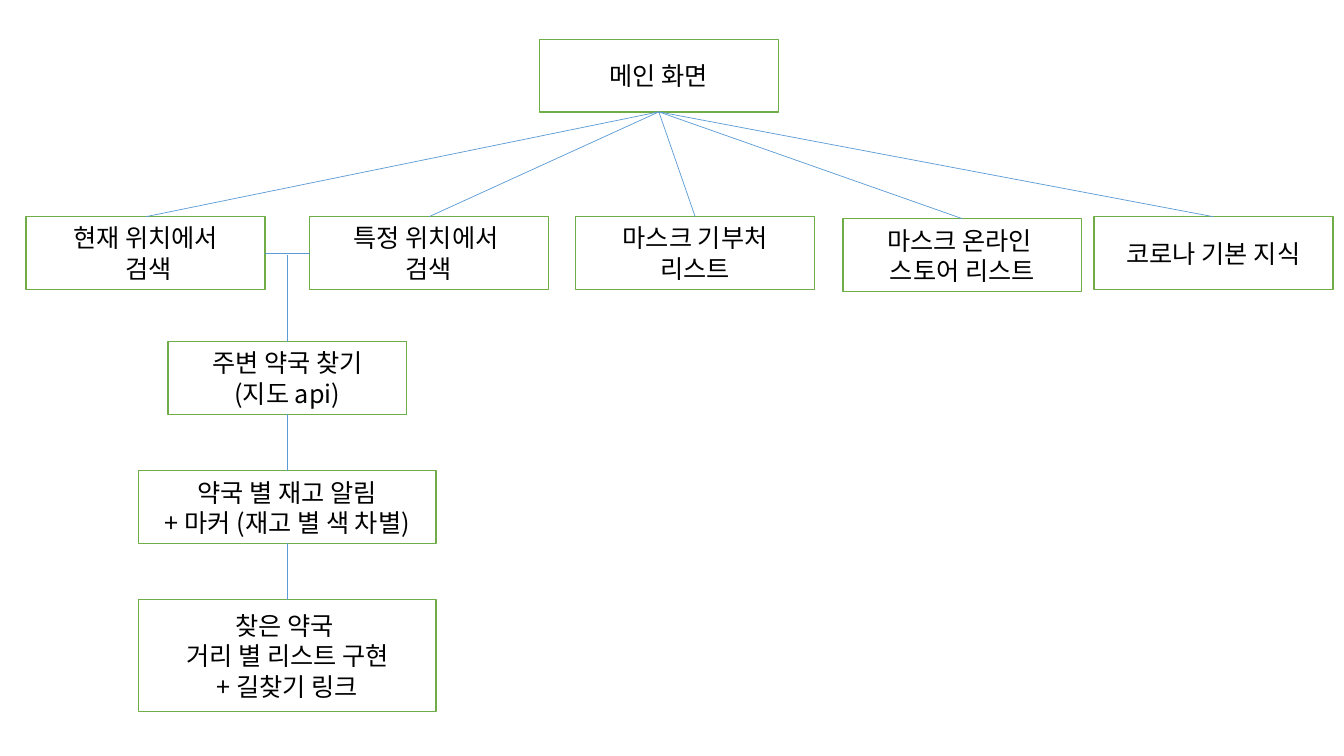
from lxml.etree import SubElement
from pptx import Presentation
from pptx.dml.color import RGBColor
from pptx.enum.shapes import MSO_CONNECTOR, MSO_SHAPE
from pptx.enum.text import MSO_ANCHOR, PP_ALIGN
from pptx.oxml.ns import qn
from pptx.util import Inches, Pt

WHITE = RGBColor(0xFF, 0xFF, 0xFF)
BLACK = RGBColor(0x00, 0x00, 0x00)
GREEN = RGBColor(0x70, 0xAD, 0x47)
BLUE = RGBColor(0x5B, 0x9B, 0xD5)

TOP, LEFT, BOTTOM, RIGHT = range(4)  # connection sites of a rectangle
BOX_WIDTH, BOX_HEIGHT = 2.37, 0.72
WIDE_WIDTH = 2.95
MENU_TOP = 2.15
FLOW_CENTER = 2.85
FLOW_TOP, FLOW_STEP = 3.39, 1.28


def write_text(shape, lines, font="Noto Sans CJK KR", size=18, color=BLACK):
    """Fill a shape with centred paragraphs, one for each line."""
    frame = shape.text_frame
    frame.word_wrap = True
    frame.vertical_anchor = MSO_ANCHOR.MIDDLE
    for index, line in enumerate(lines):
        paragraph = frame.add_paragraph() if index else frame.paragraphs[0]
        paragraph.alignment = PP_ALIGN.CENTER
        run = paragraph.add_run()
        run.text = line
        run.font.name = font
        run.font.size = Pt(size)
        run.font.color.rgb = color
        SubElement(run.font._element, qn("a:ea"), typeface=font)


class Diagram:
    """Screen map style applied to the current slide."""

    def __init__(self, slide, border=GREEN, link=BLUE):
        """Keep the slide and its line colours."""
        self.slide = slide
        self.border = border
        self.link = link

    def box(self, lines, left, top, width=BOX_WIDTH, height=BOX_HEIGHT):
        """Add a bordered box with text."""
        shape = self.slide.shapes.add_shape(
            MSO_SHAPE.RECTANGLE, Inches(left), Inches(top), Inches(width), Inches(height))
        shape.shadow.inherit = False
        shape.fill.solid()
        shape.fill.fore_color.rgb = WHITE
        shape.line.color.rgb = self.border
        shape.line.width = Pt(1)
        write_text(shape, lines)
        return shape

    def connect(self, end, end_site, start=None, start_site=BOTTOM, point=(0, 0)):
        """Link a box, or a free point, to a site of another box."""
        x, y = map(Inches, point)
        connector = self.slide.shapes.add_connector(MSO_CONNECTOR.STRAIGHT, x, y, x, y)
        if start is not None:
            connector.begin_connect(start, start_site)
        connector.end_connect(end, end_site)
        connector.line.color.rgb = self.link
        connector.line.width = Pt(0.5)
        SubElement(connector._element.spPr, qn("a:effectLst"))


presentation = Presentation()
presentation.slide_width = Inches(13.33)
presentation.slide_height = Inches(7.5)
diagram = Diagram(presentation.slides.add_slide(presentation.slide_layouts[6]))

main_screen = diagram.box(["메인 화면"], 5.35, 0.39)

menu_items = [
    (["현재 위치에서", " 검색"], 0.26, MENU_TOP),
    (["특정 위치에서 ", "검색"], 3.07, MENU_TOP),
    (["마스크 기부처 리스트"], 5.71, MENU_TOP),
    (["마스크 온라인 ", "스토어 리스트"], 8.36, 2.17),
    (["코로나 기본 지식"], 10.85, MENU_TOP),
]
menu = [diagram.box(*item) for item in menu_items]
for menu_box in menu:
    diagram.connect(menu_box, TOP, start=main_screen)
diagram.connect(menu[1], LEFT, start=menu[0], start_site=RIGHT)

flow_items = [
    (["주변 약국 찾기", "(지도 api)"], BOX_WIDTH, BOX_HEIGHT),
    (["약국 별 재고 알림", "+ 마커 (재고 별 색 차별)"], WIDE_WIDTH, BOX_HEIGHT),
    (["찾은 약국 ", "거리 별 리스트 구현", "+ 길찾기 링크"], WIDE_WIDTH, 1.11),
]
previous = None
for index, (lines, width, height) in enumerate(flow_items):
    flow_box = diagram.box(
        lines, FLOW_CENTER - width / 2, FLOW_TOP + index * FLOW_STEP, width, height)
    diagram.connect(flow_box, TOP, start=previous, point=(FLOW_CENTER, 2.53))
    previous = flow_box

presentation.save("out.pptx")
